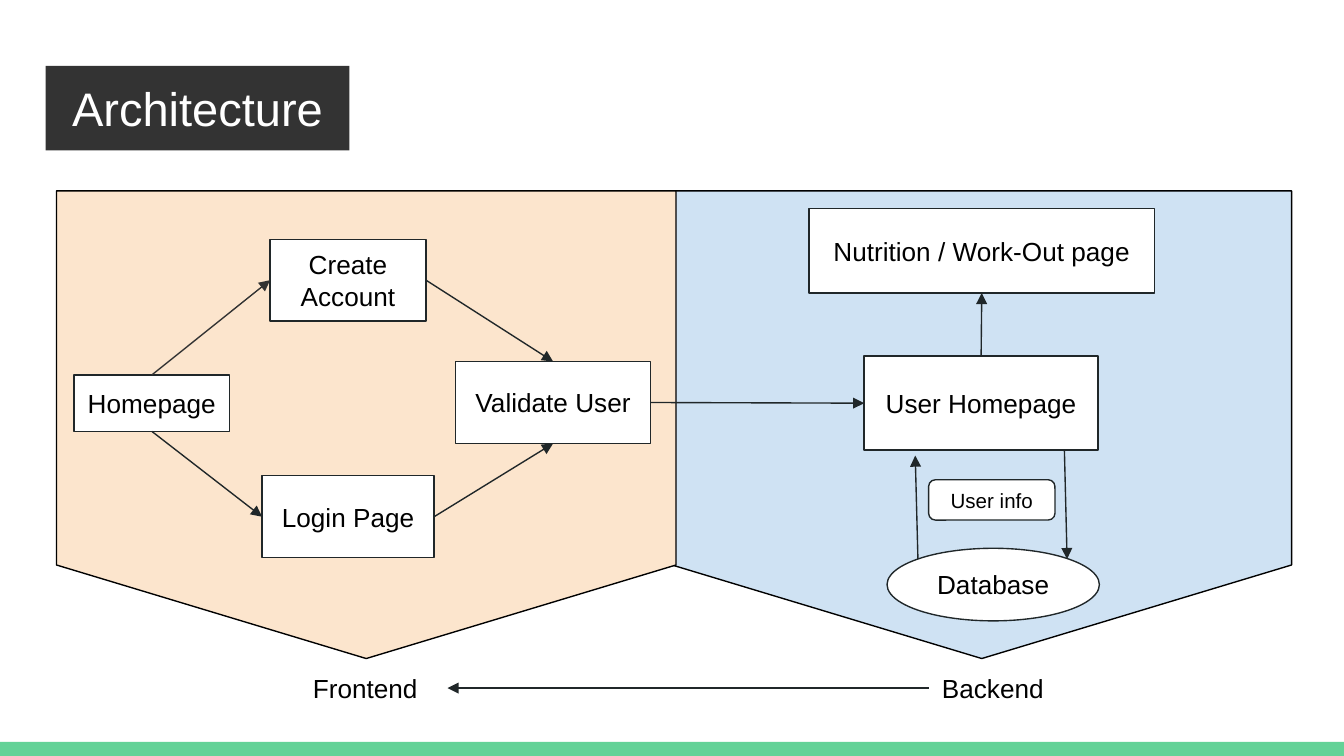
from dataclasses import dataclass

from lxml import etree
from pptx import Presentation
from pptx.dml.color import RGBColor
from pptx.enum.shapes import MSO_CONNECTOR, MSO_SHAPE
from pptx.enum.text import MSO_ANCHOR, PP_ALIGN
from pptx.oxml.ns import qn
from pptx.util import Inches, Pt

RECTANGLE = MSO_SHAPE.RECTANGLE
ROUNDED = MSO_SHAPE.ROUNDED_RECTANGLE
ELLIPSE = MSO_SHAPE.OVAL
PANEL = MSO_SHAPE.FLOWCHART_OFFPAGE_CONNECTOR
STRAIGHT = MSO_CONNECTOR.STRAIGHT
CENTER, LEFT_ALIGN = PP_ALIGN.CENTER, PP_ALIGN.LEFT
MIDDLE, TOP_ANCHOR = MSO_ANCHOR.MIDDLE, MSO_ANCHOR.TOP
TOP, LEFT, BOTTOM, RIGHT = range(4)


@dataclass(frozen=True)
class Theme:
    """Colours, type sizes and line weight of the slide."""
    font: str = "Arial"
    title_size: float = 25.2
    body_size: float = 14
    small_size: float = 11
    line_width: float = 0.75
    inset: float = 0.1
    black: str = "000000"
    white: str = "FFFFFF"
    ink: str = "202729"
    charcoal: str = "333333"
    accent: str = "63D297"
    frontend: str = "FCE5CD"
    backend: str = "CFE2F3"


THEME = Theme()


def color(value):
    """Turn a hex string into a colour."""
    return RGBColor.from_string(value)


def write_text(shape, text, size=THEME.body_size, ink=THEME.black,
               align=CENTER, anchor=MIDDLE):
    """Put one formatted paragraph into a shape."""
    frame = shape.text_frame
    inset = Inches(THEME.inset)
    frame_format = {"word_wrap": True, "vertical_anchor": anchor,
                    "margin_left": inset, "margin_right": inset,
                    "margin_top": inset, "margin_bottom": inset}
    for name, value in frame_format.items():
        setattr(frame, name, value)
    paragraph = frame.paragraphs[0]
    paragraph.alignment = align
    run = paragraph.add_run()
    run.text = text
    for name, value in {"name": THEME.font, "size": Pt(size)}.items():
        setattr(run.font, name, value)
    run.font.color.rgb = color(ink)


def add_block(slide, kind, box, fill, outline=None):
    """Add a flat filled shape, outlined if a line colour is given."""
    shape = slide.shapes.add_shape(kind, *map(Inches, box))
    shape.shadow.inherit = False
    shape.fill.solid()
    shape.fill.fore_color.rgb = color(fill)
    if outline:
        shape.line.color.rgb = color(outline)
        shape.line.width = Pt(THEME.line_width)
    else:
        shape.line.fill.background()
    return shape


def add_arrow(slide, start=(0, 0), end=(0, 0), ink=THEME.ink):
    """Add a straight arrow with a triangle at its end."""
    arrow = slide.shapes.add_connector(STRAIGHT, *map(Inches, (*start, *end)))
    arrow.line.color.rgb = color(ink)
    arrow.line.width = Pt(THEME.line_width)
    etree.SubElement(arrow.line._get_or_add_ln(), qn("a:tailEnd"), type="triangle")
    etree.SubElement(arrow._element.spPr, qn("a:effectLst"))
    return arrow


def join(slide, source, source_side, target, target_side, ink=THEME.ink):
    """Join the sides of two shapes with an arrow."""
    arrow = add_arrow(slide, ink=ink)
    arrow.begin_connect(source, source_side)
    arrow.end_connect(target, target_side)


def add_nodes(slide, box, nodes):
    """Place labelled nodes relative to a panel and return them by label."""
    left, top = box[:2]
    shapes = {}
    for label, kind, x, y, width, height, size in nodes:
        shape = add_block(slide, kind, (left + x, top + y, width, height),
                          THEME.white, THEME.ink)
        write_text(shape, label, size)
        shapes[label] = shape
    return shapes


def add_title(slide, box):
    """Add the dark title block."""
    title = add_block(slide, RECTANGLE, box, THEME.charcoal)
    write_text(title, "Architecture", THEME.title_size, THEME.white)


def add_frontend(slide, box):
    """Draw the frontend panel and return its last step."""
    add_block(slide, PANEL, box, THEME.frontend, THEME.black)
    size = THEME.body_size
    nodes = add_nodes(slide, box, [
        ("Homepage", RECTANGLE, 0.13, 1.37, 1.16, 0.42, size),
        ("Login Page", RECTANGLE, 1.53, 2.12, 1.28, 0.61, size),
        ("Create Account", RECTANGLE, 1.59, 0.36, 1.16, 0.61, size),
        ("Validate User", RECTANGLE, 2.97, 1.27, 1.45, 0.61, size),
    ])
    home, login, create, validate = nodes.values()
    join(slide, home, TOP, create, LEFT, THEME.charcoal)
    join(slide, home, BOTTOM, login, LEFT)
    join(slide, create, RIGHT, validate, TOP)
    join(slide, login, RIGHT, validate, BOTTOM)
    return validate


def add_backend(slide, box):
    """Draw the backend panel and return its first step."""
    add_block(slide, PANEL, box, THEME.backend, THEME.black)
    size = THEME.body_size
    nodes = add_nodes(slide, box, [
        ("User Homepage", RECTANGLE, 1.43, 1.23, 1.74, 0.7, size),
        ("Database", ELLIPSE, 1.6, 2.66, 1.58, 0.54, size),
        ("User info", ROUNDED, 1.91, 2.15, 0.94, 0.3, THEME.small_size),
        ("Nutrition / Work-Out page", RECTANGLE, 1.02, 0.13, 2.57, 0.63, size),
    ])
    home = nodes["User Homepage"]
    join(slide, home, TOP, nodes["Nutrition / Work-Out page"], BOTTOM)
    left, top = box[:2]
    add_arrow(slide, (left + 1.83, top + 2.74), (left + 1.81, top + 1.97))
    add_arrow(slide, (left + 2.92, top + 1.93), (left + 2.94, top + 2.74))
    return home


def add_captions(slide, box):
    """Name the two panels and point from backend to frontend."""
    left, top, width, height = box
    label_width = 1.16
    captions = {"Frontend": left, "Backend": left + width - label_width}
    for text, x in captions.items():
        caption = slide.shapes.add_textbox(
            *map(Inches, (x, top, label_width, height)))
        write_text(caption, text, align=LEFT_ALIGN, anchor=TOP_ANCHOR)
    middle = top + height / 2
    add_arrow(slide, (captions["Backend"], middle), (left + 1.1, middle))


def add_architecture_slide(presentation):
    """Build the architecture slide."""
    slide = presentation.slides.add_slide(presentation.slide_layouts[6])
    add_block(slide, RECTANGLE, (0, 5.52, 10, 0.11), THEME.accent)
    add_title(slide, (0.34, 0.49, 2.26, 0.63))
    user_home = add_backend(slide, (5, 1.42, 4.61, 3.48))
    validate = add_frontend(slide, (0.42, 1.42, 4.61, 3.48))
    join(slide, validate, RIGHT, user_home, LEFT)
    add_captions(slide, (2.23, 4.9, 5.84, 0.44))


def main():
    """Create and save the presentation."""
    presentation = Presentation()
    presentation.slide_width = Inches(10)
    presentation.slide_height = presentation.slide_width * 9 // 16
    add_architecture_slide(presentation)
    presentation.save("out.pptx")


if __name__ == "__main__":
    main()
